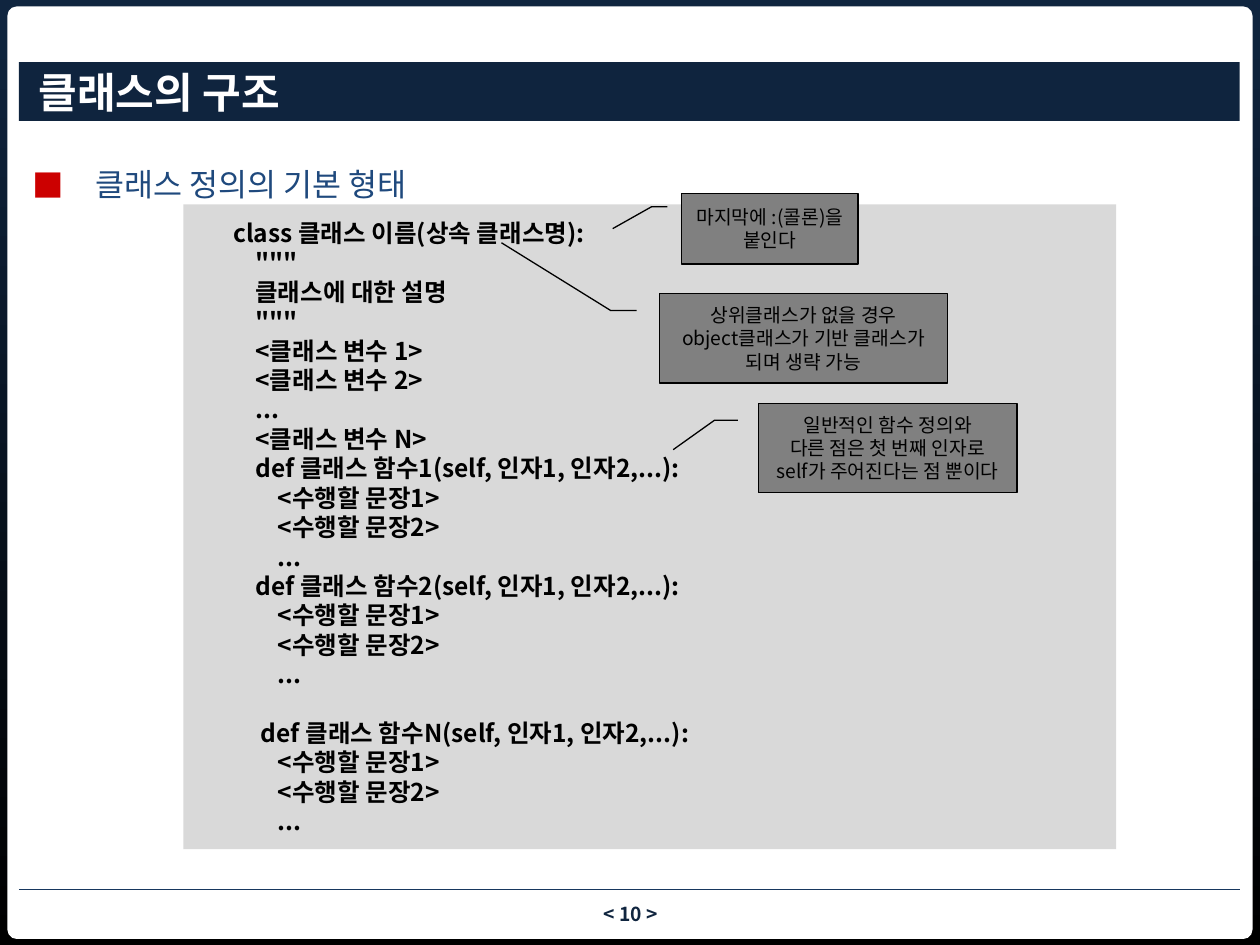
"""Build the slide that explains the structure of a class definition."""
from lxml import etree
from pptx import Presentation
from pptx.dml.color import RGBColor
from pptx.enum.shapes import MSO_CONNECTOR, MSO_SHAPE
from pptx.enum.text import MSO_ANCHOR, MSO_AUTO_SIZE, PP_ALIGN
from pptx.oxml.ns import qn
from pptx.util import Cm, Pt

FONT = "Noto Sans CJK KR"
NAVY = RGBColor(0x10, 0x25, 0x3F)
TITLE_NAVY = RGBColor(0x0F, 0x24, 0x3E)
LINE_BLUE = RGBColor(0x17, 0x37, 0x5E)
TEXT_BLUE = RGBColor(0x1F, 0x49, 0x7D)
BLACK = RGBColor(0x00, 0x00, 0x00)
WHITE = RGBColor(0xFF, 0xFF, 0xFF)
LIGHT_GRAY = RGBColor(0xD9, 0xD9, 0xD9)
GRAY = RGBColor(0x80, 0x80, 0x80)
RECTANGLE = MSO_SHAPE.RECTANGLE
ROUNDED_RECTANGLE = MSO_SHAPE.ROUNDED_RECTANGLE
CALLOUT = MSO_SHAPE.LINE_CALLOUT_2
MIDDLE = MSO_ANCHOR.MIDDLE
CENTER = PP_ALIGN.CENTER
LEFT = PP_ALIGN.LEFT


def add_text(paragraph, text, size, color, bold=False, align=LEFT):
    paragraph.alignment = align
    run = paragraph.add_run()
    run.text = text
    run.font.size = Pt(size)
    run.font.bold = bold
    run.font.color.rgb = color
    run.font.name = FONT
    etree.SubElement(run.font._element, qn("a:ea"), typeface=FONT)


def add_box(slide, kind, left, top, width, height, color):
    shape = slide.shapes.add_shape(kind, Cm(left), Cm(top), Cm(width), Cm(height))
    shape.shadow.inherit = False
    shape.fill.solid()
    shape.fill.fore_color.rgb = color
    shape.line.fill.background()
    shape.text_frame.vertical_anchor = MIDDLE
    return shape


presentation = Presentation()
presentation.slide_width = Cm(25.4)
presentation.slide_height = Cm(19.05)
slide = presentation.slides.add_slide(presentation.slide_layouts[5])

background = slide.background.fill
background.gradient()
background.gradient_angle = 270
for stop, color, position in zip(background.gradient_stops, (NAVY, BLACK), (0, 1)):
    stop.color.rgb = color
    stop.position = position

card = add_box(slide, ROUNDED_RECTANGLE, 0.15, 0.13, 25.1, 18.8, WHITE)
card.adjustments[0] = 0.01

page_number = slide.shapes.add_textbox(Cm(9.96), Cm(18.19), Cm(5.5), Cm(0.48))
frame = page_number.text_frame
frame.word_wrap = True
frame.vertical_anchor = MIDDLE
frame.margin_left = frame.margin_right = frame.margin_top = frame.margin_bottom = 0
add_text(frame.paragraphs[0], "< 10 >", 11, NAVY, True, CENTER)

footer_line = slide.shapes.add_connector(
    MSO_CONNECTOR.STRAIGHT, Cm(0.38), Cm(17.93), Cm(25), Cm(17.93))
footer_line.line.color.rgb = LINE_BLUE
footer_line.line.width = Pt(1)
etree.SubElement(footer_line._element.spPr, qn("a:effectLst"))

title = slide.shapes.title
slide.shapes._spTree.append(title._element)
title.left, title.top, title.width, title.height = Cm(0.38), Cm(1.25), Cm(24.61), Cm(1.19)
title.fill.solid()
title.fill.fore_color.rgb = TITLE_NAVY
frame = title.text_frame
frame.auto_size = MSO_AUTO_SIZE.NONE
frame.vertical_anchor = MIDDLE
frame.margin_left = Cm(0.4)
frame.margin_right = frame.margin_top = frame.margin_bottom = 0
add_text(frame.paragraphs[0], "클래스의 구조", 24, WHITE, True)

STATEMENTS = [(2, "<수행할 문장1>"), (2, "<수행할 문장2>"), (2, "...")]
CODE = [
    (0, "class 클래스 이름(상속 클래스명):"),
    (1, '"""'),
    (1, "클래스에 대한 설명"),
    (1, '"""'),
    (1, "<클래스 변수 1>"),
    (1, "<클래스 변수 2>"),
    (1, "..."),
    (1, "<클래스 변수 N>"),
]
for name in ("1", "2", "N"):
    CODE += [(1, f"def 클래스 함수{name}(self, 인자1, 인자2,...):"), *STATEMENTS]

code_box = add_box(slide, RECTANGLE, 3.7, 4.12, 18.8, 13, LIGHT_GRAY)
frame = code_box.text_frame
frame.word_wrap = True
frame.margin_left = Cm(1)
for index, (level, text) in enumerate(CODE):
    paragraph = frame.paragraphs[0] if index == 0 else frame.add_paragraph()
    paragraph.line_spacing = Pt(16.8)
    indent = Cm(0.45 * level)
    if "함수N" in text:
        indent = Cm(0.56)
        paragraph.space_before = Pt(16.8)
    add_text(paragraph, text, 14, BLACK, True)
    paragraph._p.get_or_add_pPr().set("marL", str(indent))

CALLOUTS = [
    (13.74, 3.9, 3.56, 1.42, (0.5, -0.39), ["마지막에 :(콜론)을", "붙인다"]),
    (15.29, 8.13, 5.21, 1.8, (0.52, -0.33),
     ["일반적인 함수 정의와", "다른 점은 첫 번째 인자로", "self가 주어진다는 점 뿐이다"]),
    (13.3, 5.92, 5.8, 1.8, (-0.57, -0.55),
     ["상위클래스가 없을 경우", "object클래스가 기반 클래스가", "되며 생략 가능"]),
]
for left, top, width, height, tip, lines in CALLOUTS:
    callout = add_box(slide, CALLOUT, left, top, width, height, GRAY)
    callout.line.color.rgb = BLACK
    callout.line.width = Pt(0.75)
    for index, value in enumerate((0.19, -0.08, 0.19, -0.17, *tip)):
        callout.adjustments[index] = value
    frame = callout.text_frame
    frame.word_wrap = False
    for index, text in enumerate(lines):
        paragraph = frame.paragraphs[0] if index == 0 else frame.add_paragraph()
        paragraph.line_spacing = Pt(13.2)
        add_text(paragraph, text, 11, BLACK, align=CENTER)

heading = slide.shapes.add_textbox(Cm(0.66), Cm(2.95), Cm(24.08), Cm(1.02))
frame = heading.text_frame
frame.word_wrap = True
frame.margin_left = frame.margin_right = frame.margin_top = frame.margin_bottom = 0
paragraph = frame.paragraphs[0]
paragraph.line_spacing = Pt(32.4)
add_text(paragraph, "클래스 정의의 기본 형태", 18, TEXT_BLUE)
properties = paragraph._p.get_or_add_pPr()
properties.set("marL", str(Cm(1.27)))
properties.set("indent", str(Cm(-1.27)))
bullet_color = etree.SubElement(properties, qn("a:buClr"))
etree.SubElement(bullet_color, qn("a:srgbClr"), val="CC0000")
etree.SubElement(properties, qn("a:buFont"), typeface=FONT)
etree.SubElement(properties, qn("a:buChar"), char="■")

presentation.save("out.pptx")
